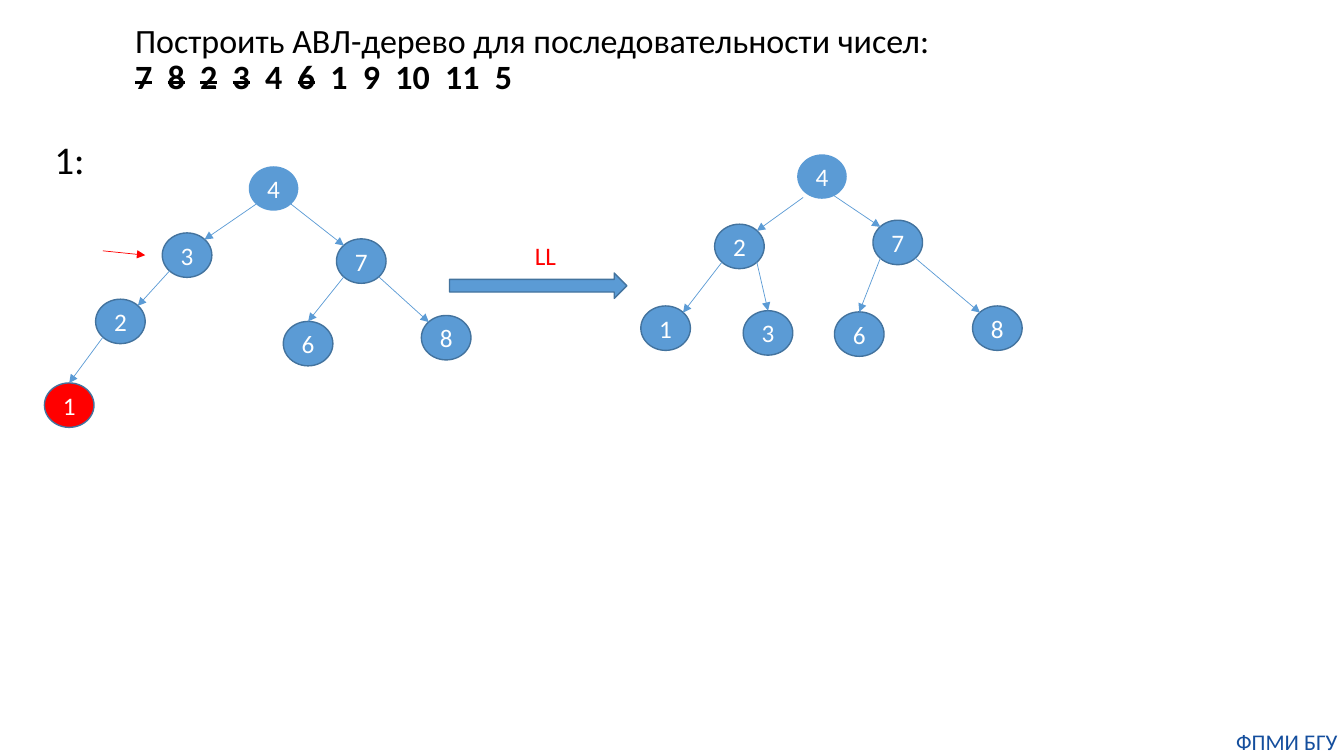
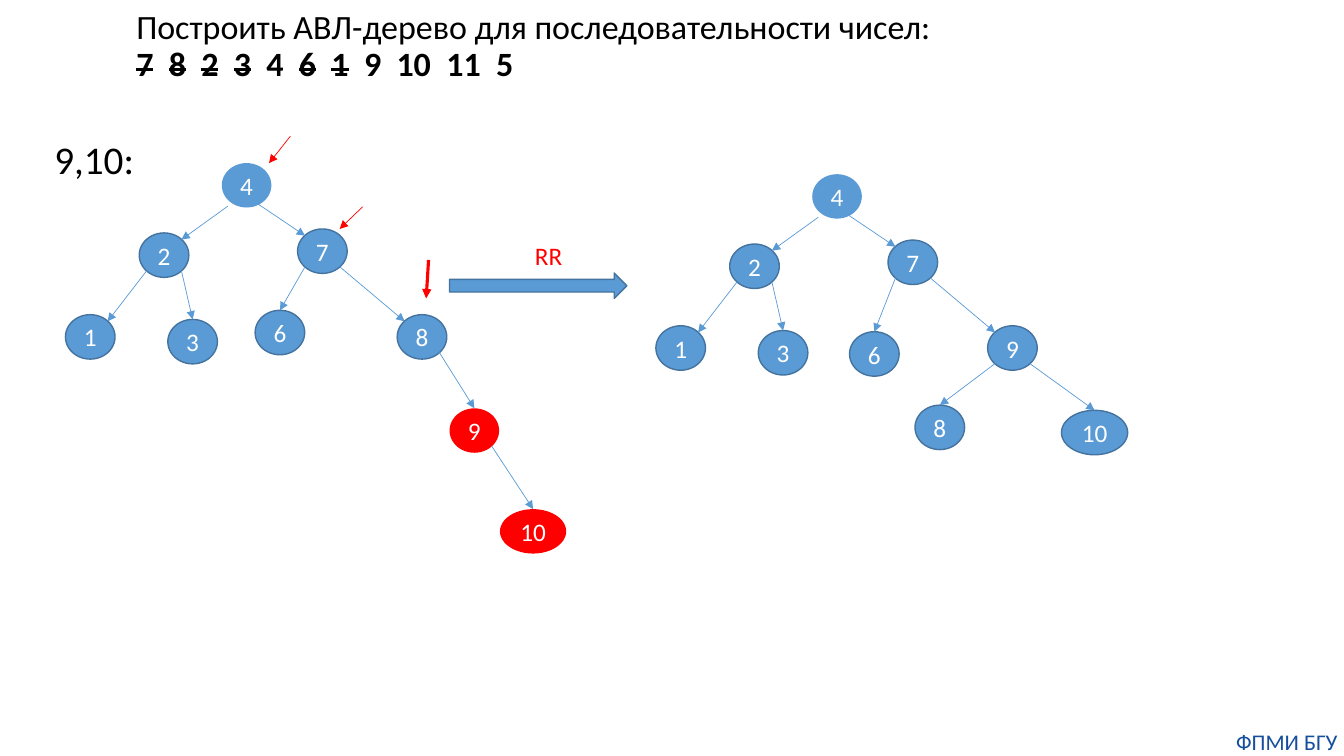
from dataclasses import dataclass

from lxml.etree import SubElement
from pptx import Presentation
from pptx.dml.color import RGBColor
from pptx.enum.shapes import MSO_CONNECTOR, MSO_SHAPE
from pptx.enum.text import MSO_ANCHOR, MSO_AUTO_SIZE, PP_ALIGN
from pptx.oxml.ns import qn
from pptx.util import Cm, Pt


@dataclass(frozen=True)
class Theme:
    font: str = "Calibri"
    black: RGBColor = RGBColor(0x00, 0x00, 0x00)
    white: RGBColor = RGBColor(0xFF, 0xFF, 0xFF)
    blue: RGBColor = RGBColor(0x5B, 0x9B, 0xD5)
    outline: RGBColor = RGBColor(0x43, 0x73, 0x9E)
    red: RGBColor = RGBColor(0xFF, 0x00, 0x00)
    footer: RGBColor = RGBColor(0x14, 0x4E, 0x9D)
    title_pt: float = 24.3
    step_pt: float = 28
    node_pt: float = 18
    footer_pt: float = 16


T = Theme()
NODE_W, WIDE_W, NODE_H = 1.25, 1.67, 1.12  # cm
NUMBERS = "7 8 2 3 4 6 1 9 10 11 5".split()

# Points on a node where edges start or end, as fractions of its box
SITES = {"top": (0.5, 0), "tl": (0.15, 0.15), "tr": (0.85, 0.15),
         "bl": (0.15, 0.85), "br": (0.85, 0.85),
         "root_l": (0.12, 0.97), "root_r": (0.53, 0.77)}

# Trees: node offsets from the root in cm, and edges between nodes
BALANCED = {"4": (0, 0), "2": (-2.08, 1.76), "7": (1.91, 1.66),
            "1": (-3.94, 3.82), "3": (-1.36, 3.94), "6": (0.94, 3.97)}
BALANCED_EDGES = [("4", "2", "root_l", "tr"), ("4", "7", "root_r", "tl"),
                  ("2", "1", "bl", "tr"), ("2", "3", "br", "top"),
                  ("7", "6", "bl", "top")]
RIGHT_LEAF = (4.42, 3.82)

SLIDES = [
    dict(title_at=(3.15, 0.47), struck="78236", step="1:", step_w=25.8, rotation="LL",
         trees=[
             dict(root=(6.27, 4.19), new=["1"], plain=["4"],
                  nodes={"4": (0, 0), "3": (-2.18, 1.68), "7": (2.21, 1.83),
                         "2": (-3.86, 3.35), "6": (0.87, 3.91),
                         "8": (4.35, 3.76), "1": (-5.15, 5.46)},
                  edges=[("4", "3", "bl", "tr"), ("4", "7", "br", "tl"),
                         ("3", "2", "bl", "tr"), ("2", "1", "bl", "top"),
                         ("7", "6", "bl", "top"), ("7", "8", "br", "tl")]),
             dict(root=(20.09, 3.89), new=[], plain=["4"],
                  nodes={**BALANCED, "8": RIGHT_LEAF},
                  edges=BALANCED_EDGES + [("7", "8", "br", "tl")])],
         pointers=[(2.59, 6.32, 3.66, 6.43, 0.5)]),
    dict(title_at=(3.18, 0.14), struck="782361", step="9,10:", step_w=28.14, rotation="RR",
         trees=[
             dict(root=(5.59, 4.11), new=["9", "10"], plain=["4", "9", "10"],
                  nodes={**BALANCED, "6": (0.84, 3.71), "8": RIGHT_LEAF,
                         "9": (5.74, 6.18), "10": (7.01, 8.72)},
                  edges=BALANCED_EDGES + [("7", "8", "br", "tl"), ("8", "9", "br", "top"),
                                          ("9", "10", "br", "top")]),
             dict(root=(20.47, 4.39), new=[], plain=["4"],
                  nodes={**BALANCED, "9": RIGHT_LEAF, "8": (2.59, 5.82), "10": (6.28, 5.95)},
                  edges=BALANCED_EDGES + [("7", "9", "br", "tl"), ("9", "8", "bl", "top"),
                                          ("9", "10", "br", "top")])],
         pointers=[(7.32, 3.43, 6.78, 4.11, 0.5), (9.14, 5.21, 8.56, 5.77, 0.5),
                   (10.8, 6.55, 10.74, 7.52, 2.25)]),
]


def add_run(p, text, size, color, bold=False):
    r = p.add_run()
    r.text = text
    r.font.name, r.font.size, r.font.bold = T.font, Pt(size), bold
    r.font.color.rgb = color
    return r


def add_arrow(s, x1, y1, x2, y2, color, width=0.5):
    cn = s.shapes.add_connector(MSO_CONNECTOR.STRAIGHT, x1, y1, x2, y2)
    cn.line.color.rgb = color
    cn.line.width = Pt(width)
    SubElement(cn.line._get_or_add_ln(), qn("a:tailEnd"), type="triangle")
    SubElement(cn._element.spPr, qn("a:effectLst"))
    return cn


prs = Presentation()
prs.slide_width, prs.slide_height = Cm(33.87), Cm(19.05)

for data in SLIDES:
    s = prs.slides.add_slide(prs.slide_layouts[5])

    # Title: the task, then the sequence with used numbers struck out
    title = s.shapes.title
    title.left, title.top = (Cm(v) for v in data["title_at"])
    title.width, title.height = Cm(29.21), Cm(2.69)
    tf = title.text_frame
    tf.word_wrap, tf.auto_size = True, MSO_AUTO_SIZE.NONE
    tf.vertical_anchor = MSO_ANCHOR.TOP
    p = tf.paragraphs[0]
    add_run(p, "Построить АВЛ-дерево для последовательности чисел:", T.title_pt, T.black)
    p = tf.add_paragraph()
    for i, number in enumerate(NUMBERS):
        if i:
            gap = add_run(p, " ", T.title_pt, T.black, bold=True)
            gap._r.get_or_add_rPr().set("spc", "550")
        r = add_run(p, number, T.title_pt, T.black, bold=True)
        if number in data["struck"]:
            r._r.get_or_add_rPr().set("strike", "sngStrike")
    for p in tf.paragraphs:
        p.alignment, p.line_spacing, p.space_before = PP_ALIGN.LEFT, 0.9, Pt(0)

    # Inserted numbers
    sp = s.shapes.add_textbox(Cm(1.12), Cm(3.43), Cm(data["step_w"]), Cm(11.89))
    sp.text_frame.word_wrap = True
    p = sp.text_frame.paragraphs[0]
    p.line_spacing = 0.9
    add_run(p, data["step"], T.step_pt, T.black)

    # Rotation arrow and its label
    sp = s.shapes.add_shape(MSO_SHAPE.RIGHT_ARROW, Cm(11.33), Cm(6.88), Cm(4.47), Cm(0.64))
    sp.shadow.inherit = False
    sp.fill.solid()
    sp.fill.fore_color.rgb = T.blue
    sp.line.color.rgb, sp.line.width = T.outline, Pt(1)
    sp = s.shapes.add_textbox(Cm(13.23), Cm(5.94), Cm(1.6), Cm(1.02))
    sp.text_frame.word_wrap = True
    add_run(sp.text_frame.paragraphs[0], data["rotation"], T.node_pt, T.red)

    # Trees before and after the rotation
    for tree in data["trees"]:
        nodes = {}
        for key, (dx, dy) in tree["nodes"].items():
            x, y = tree["root"][0] + dx, tree["root"][1] + dy
            width = NODE_W if len(key) == 1 else WIDE_W
            sp = s.shapes.add_shape(MSO_SHAPE.OVAL, Cm(x), Cm(y), Cm(width), Cm(NODE_H))
            sp.shadow.inherit = False
            sp.fill.solid()
            sp.fill.fore_color.rgb = T.red if key in tree["new"] else T.blue
            if key in tree["plain"]:
                sp.line.fill.background()
            else:
                sp.line.color.rgb, sp.line.width = T.outline, Pt(1)
            tf = sp.text_frame
            tf.margin_left = tf.margin_right = tf.margin_top = tf.margin_bottom = 0
            tf.vertical_anchor = MSO_ANCHOR.MIDDLE
            p = tf.paragraphs[0]
            p.alignment = PP_ALIGN.CENTER
            add_run(p, key, T.node_pt, T.white)
            nodes[key] = sp

        for parent, child, start, end in tree["edges"]:
            ends = []
            for sp, site in ((nodes[parent], start), (nodes[child], end)):
                fx, fy = SITES[site]
                ends += [int(sp.left + fx * sp.width), int(sp.top + fy * sp.height)]
            cn = add_arrow(s, *ends, T.blue)
            if end == "top":
                cn.end_connect(nodes[child], 0)

    # Red pointers to unbalanced nodes
    for *ends, width in data["pointers"]:
        add_arrow(s, *(Cm(v) for v in ends), T.red, width)

    # Footer
    sp = s.shapes.add_textbox(Cm(30.99), Cm(18.36), Cm(2.88), Cm(0.69))
    tf = sp.text_frame
    tf.word_wrap = True
    tf.margin_left = tf.margin_right = tf.margin_top = tf.margin_bottom = 0
    p = tf.paragraphs[0]
    p.alignment = PP_ALIGN.CENTER
    add_run(p, "ФПМИ БГУ", T.footer_pt, T.footer)

prs.save("out.pptx")
